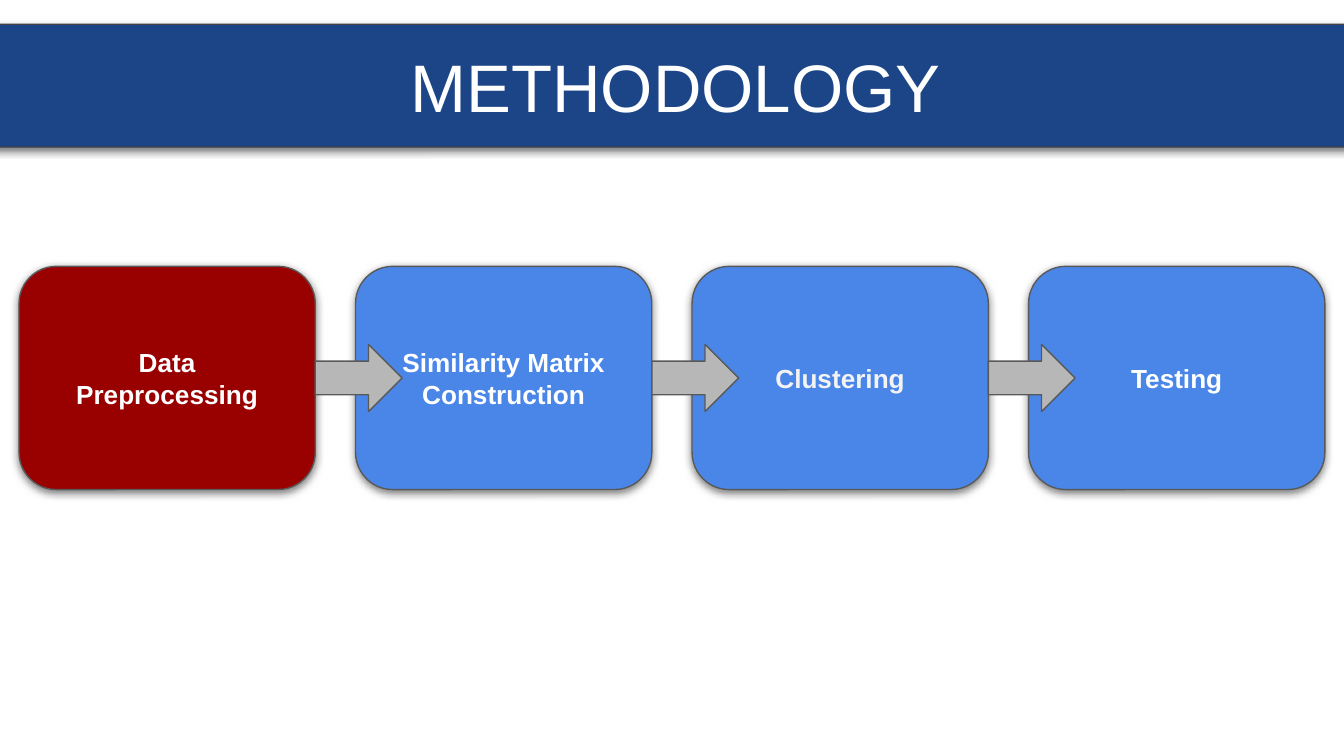
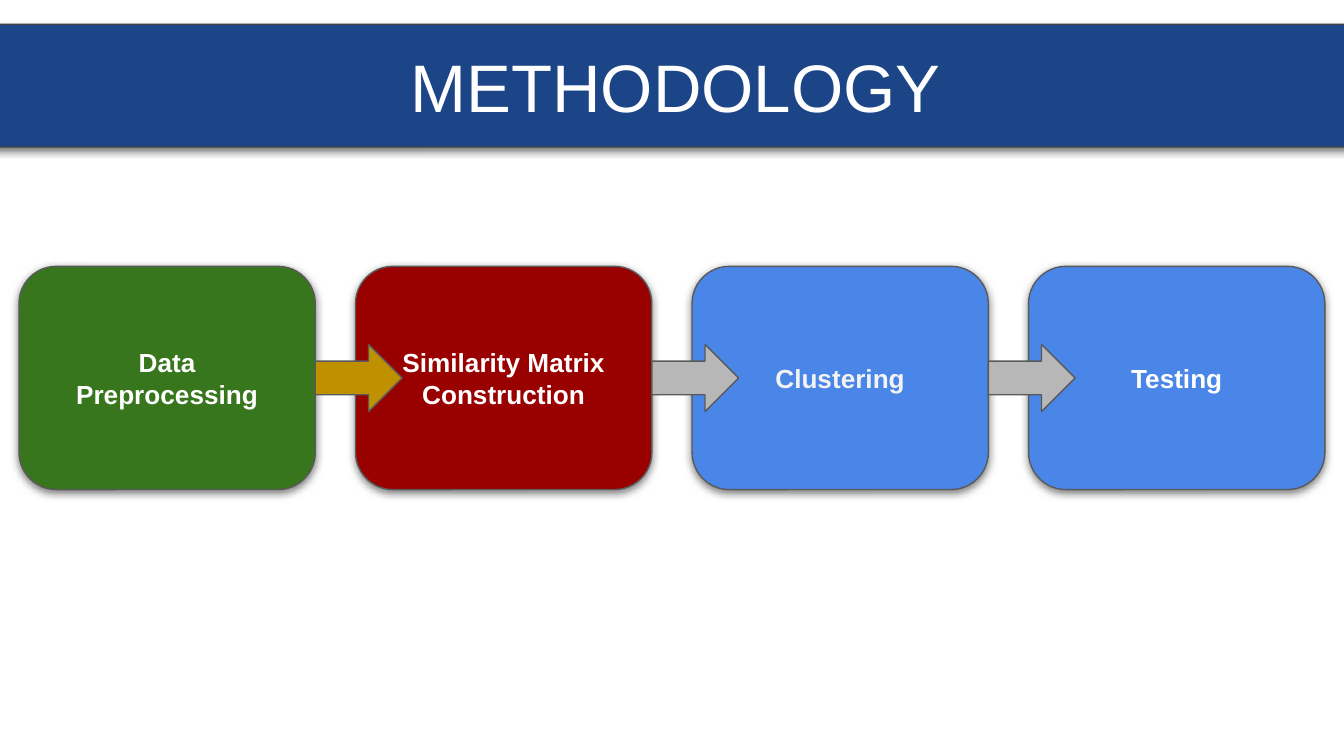
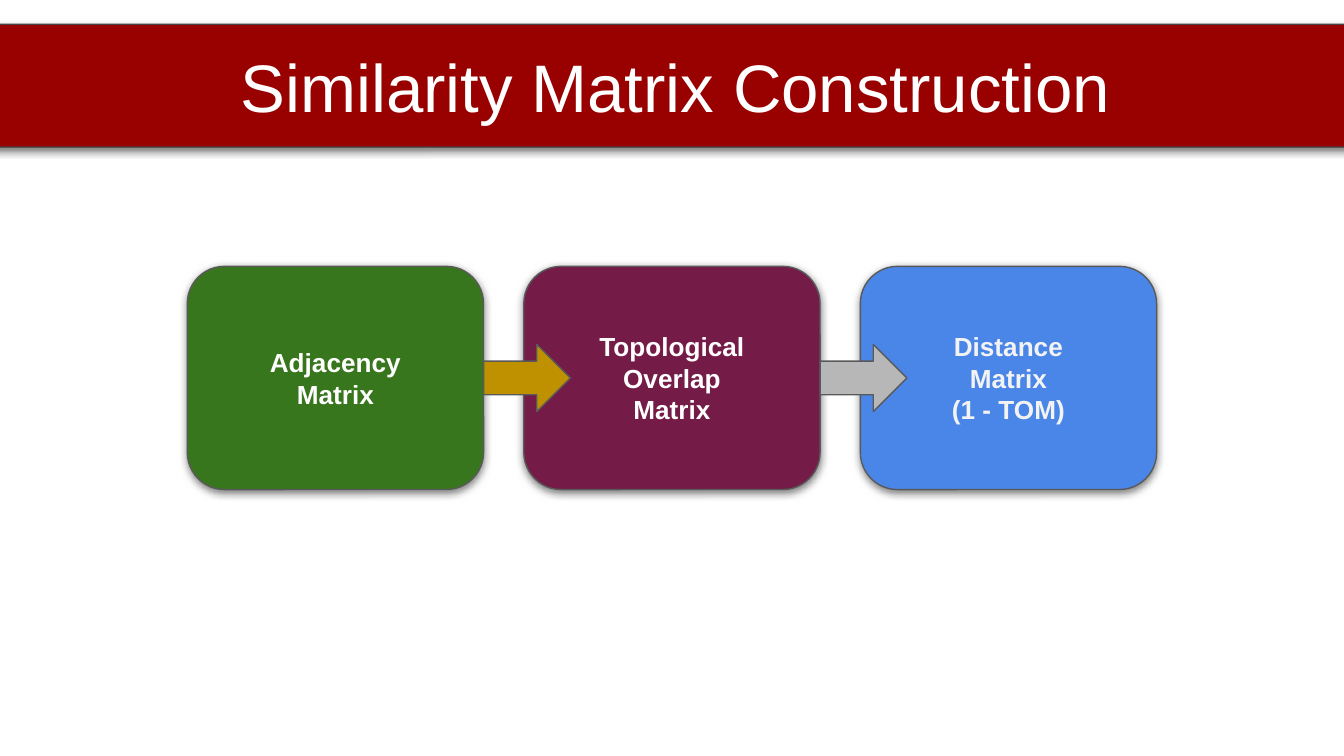
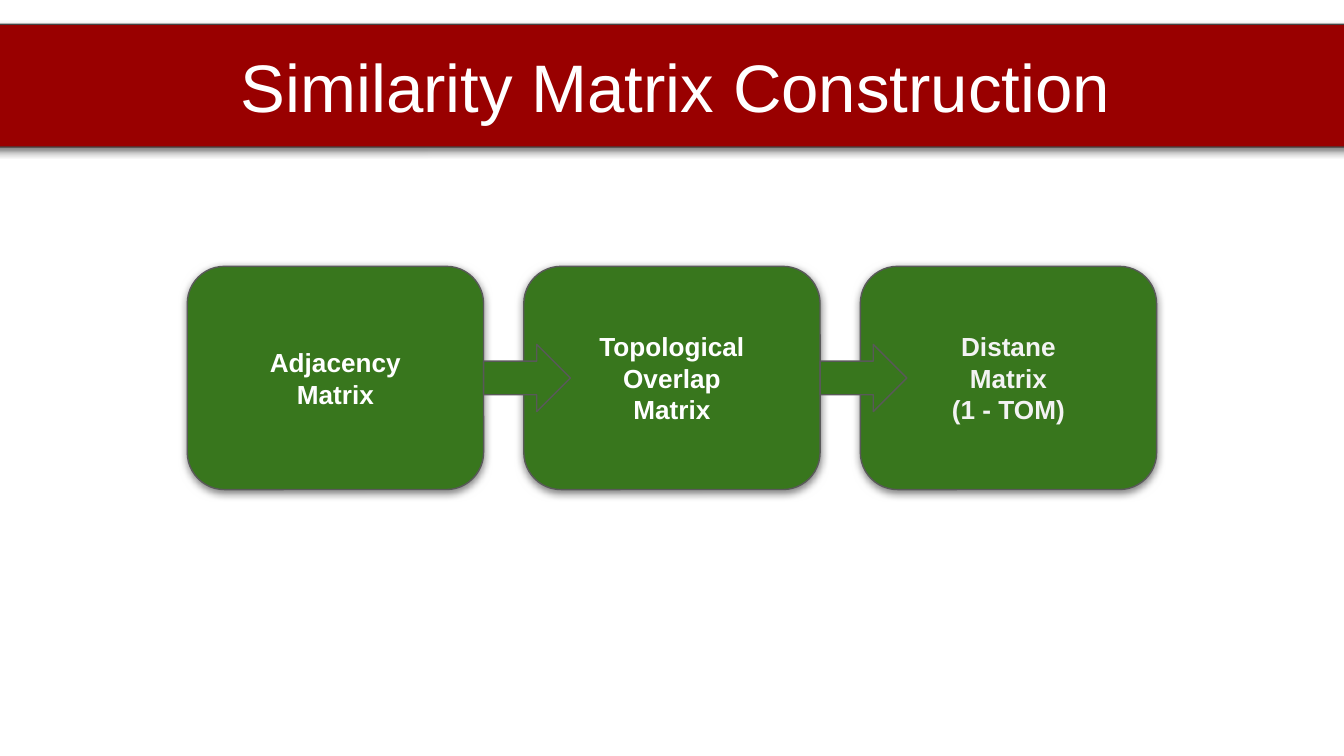
from lxml import etree
from pptx import Presentation
from pptx.dml.color import RGBColor
from pptx.enum.shapes import MSO_SHAPE
from pptx.enum.text import MSO_ANCHOR, MSO_AUTO_SIZE, PP_ALIGN
from pptx.oxml.ns import qn
from pptx.util import Cm, Pt

ROUNDED = MSO_SHAPE.ROUNDED_RECTANGLE
ARROW = MSO_SHAPE.RIGHT_ARROW
MIDDLE = MSO_ANCHOR.MIDDLE
CENTER = PP_ALIGN.CENTER
NO_AUTOFIT = MSO_AUTO_SIZE.NONE

# Colours
WHITE = RGBColor(0xFF, 0xFF, 0xFF)
OFF_WHITE = RGBColor(0xF3, 0xF3, 0xF3)
NAVY = RGBColor(0x1C, 0x45, 0x87)
BLUE = RGBColor(0x4A, 0x86, 0xE8)
RED = RGBColor(0x99, 0x00, 0x00)
GREEN = RGBColor(0x38, 0x76, 0x1D)
PLUM = RGBColor(0x74, 0x1B, 0x47)
GOLD = RGBColor(0xBF, 0x90, 0x00)
GRAY = RGBColor(0xB7, 0xB7, 0xB7)
OUTLINE = RGBColor(0x59, 0x59, 0x59)
BAND_OUTLINE = RGBColor(0x43, 0x43, 0x43)

# Geometry in centimetres
FONT = "Arial"
TITLE_ONLY = 5
SLIDE_WIDTH, SLIDE_HEIGHT = 25.4, 14.29
BAND = (-0.69, 0.46, 26.92, 2.32)
BOX_WIDTH, BOX_HEIGHT, BOX_PITCH = 5.6, 4.22, 6.36
ARROW_WIDTH, ARROW_HEIGHT = 1.64, 1.27

# Step texts: lines and text colour
METHOD_STEPS = [
    (["Data", "Preprocessing"], WHITE),
    (["Similarity Matrix", "Construction"], WHITE),
    (["Clustering"], OFF_WHITE),
    (["Testing"], WHITE),
]
MATRIX_STEPS = [
    (["Adjacency", "Matrix"], WHITE),
    (["Topological", "Overlap", "Matrix"], WHITE),
]
DISTANCE_STEP = (["Distance", "Matrix", "(1 - TOM)"], OFF_WHITE)
DISTANE_STEP = (["Distane", "Matrix", "(1 - TOM)"], OFF_WHITE)


def add_soft_shadow(shape):
    effects = shape._element.spPr.find(qn("a:effectLst"))
    shadow = etree.SubElement(
        effects, qn("a:outerShdw"), blurRad=str(Pt(4.5)), dist=str(Pt(1.5)),
        dir="5400000", algn="bl", rotWithShape="0")
    color = etree.SubElement(shadow, qn("a:srgbClr"), val="000000")
    etree.SubElement(color, qn("a:alpha"), val="50000")


def add_outlined_shape(slide, kind, box, fill, line=OUTLINE):
    shape = slide.shapes.add_shape(kind, *map(Cm, box))
    shape.shadow.inherit = False
    shape.fill.solid()
    shape.fill.fore_color.rgb = fill
    shape.line.color.rgb = line
    shape.line.width = Pt(0.75)
    return shape


def write_lines(shape, lines, size, color, bold=False):
    frame = shape.text_frame
    frame.word_wrap = True
    frame.auto_size = NO_AUTOFIT
    frame.vertical_anchor = MIDDLE
    frame.margin_left = frame.margin_right = Cm(0.25)
    frame.margin_top = frame.margin_bottom = Cm(0.25)
    for index, line in enumerate(lines):
        paragraph = frame.add_paragraph() if index else frame.paragraphs[0]
        paragraph.alignment = CENTER
        run = paragraph.add_run()
        run.text = line
        run.font.name = FONT
        run.font.size = Pt(size)
        run.font.bold = bold
        run.font.color.rgb = color


def add_title_band(slide, text, fill):
    band = add_outlined_shape(slide, ROUNDED, BAND, fill, BAND_OUTLINE)
    add_soft_shadow(band)
    title = slide.shapes.title
    title.left, title.top, title.width, title.height = map(Cm, BAND)
    write_lines(title, [text], 36, WHITE)
    # Bring the title in front of its band
    band._element.addnext(title._element)


def add_process(slide, steps, box_fills, arrow_fills):
    """Centre a row of step boxes on the slide and link them with arrows."""
    row_width = BOX_PITCH * (len(steps) - 1) + BOX_WIDTH
    first_left = (SLIDE_WIDTH - row_width) / 2
    lefts = [first_left + BOX_PITCH * index for index in range(len(steps))]
    box_top = (SLIDE_HEIGHT - BOX_HEIGHT) / 2
    arrow_top = (SLIDE_HEIGHT - ARROW_HEIGHT) / 2

    for left, (lines, color), fill in zip(lefts, steps, box_fills):
        box = add_outlined_shape(
            slide, ROUNDED, (left, box_top, BOX_WIDTH, BOX_HEIGHT), fill)
        add_soft_shadow(box)
        write_lines(box, lines, 14, color, bold=True)

    for left, fill in zip(lefts, arrow_fills):
        add_outlined_shape(
            slide, ARROW,
            (left + BOX_WIDTH, arrow_top, ARROW_WIDTH, ARROW_HEIGHT), fill)


def add_process_slide(presentation, title, band_fill, steps, box_fills, arrow_fills):
    slide = presentation.slides.add_slide(presentation.slide_layouts[TITLE_ONLY])
    add_title_band(slide, title, band_fill)
    add_process(slide, steps, box_fills, arrow_fills)


def main():
    presentation = Presentation()
    presentation.slide_width = Cm(SLIDE_WIDTH)
    presentation.slide_height = Cm(SLIDE_HEIGHT)

    # Methodology overview, by progress
    method = ("METHODOLOGY", NAVY, METHOD_STEPS)
    add_process_slide(presentation, *method,
                      [RED, BLUE, BLUE, BLUE], [GRAY, GRAY, GRAY])
    add_process_slide(presentation, *method,
                      [GREEN, RED, BLUE, BLUE], [GOLD, GRAY, GRAY])

    # Similarity matrix construction, by progress
    matrix = ("Similarity Matrix Construction", RED)
    add_process_slide(presentation, *matrix, MATRIX_STEPS + [DISTANCE_STEP],
                      [GREEN, PLUM, BLUE], [GOLD, GRAY])
    add_process_slide(presentation, *matrix, MATRIX_STEPS + [DISTANE_STEP],
                      [GREEN] * 3, [GREEN] * 2)

    presentation.save("out.pptx")


if __name__ == "__main__":
    main()
